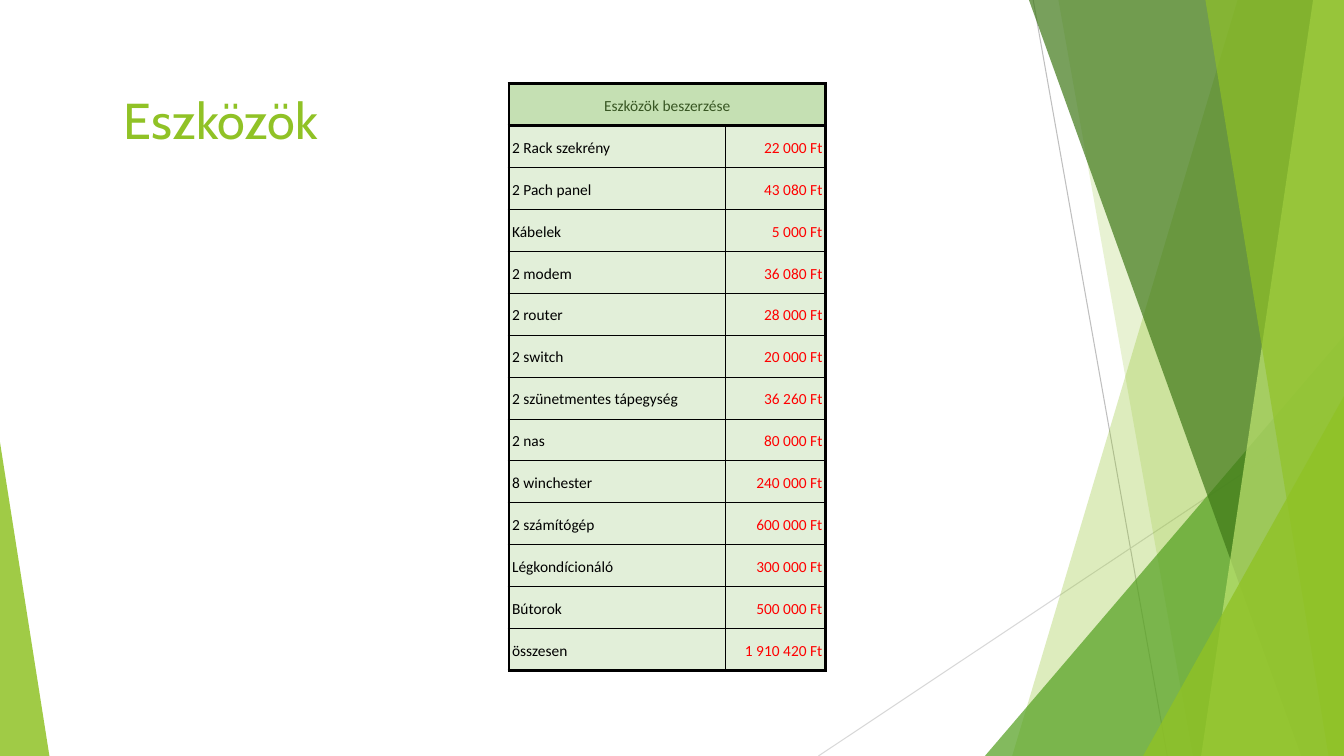
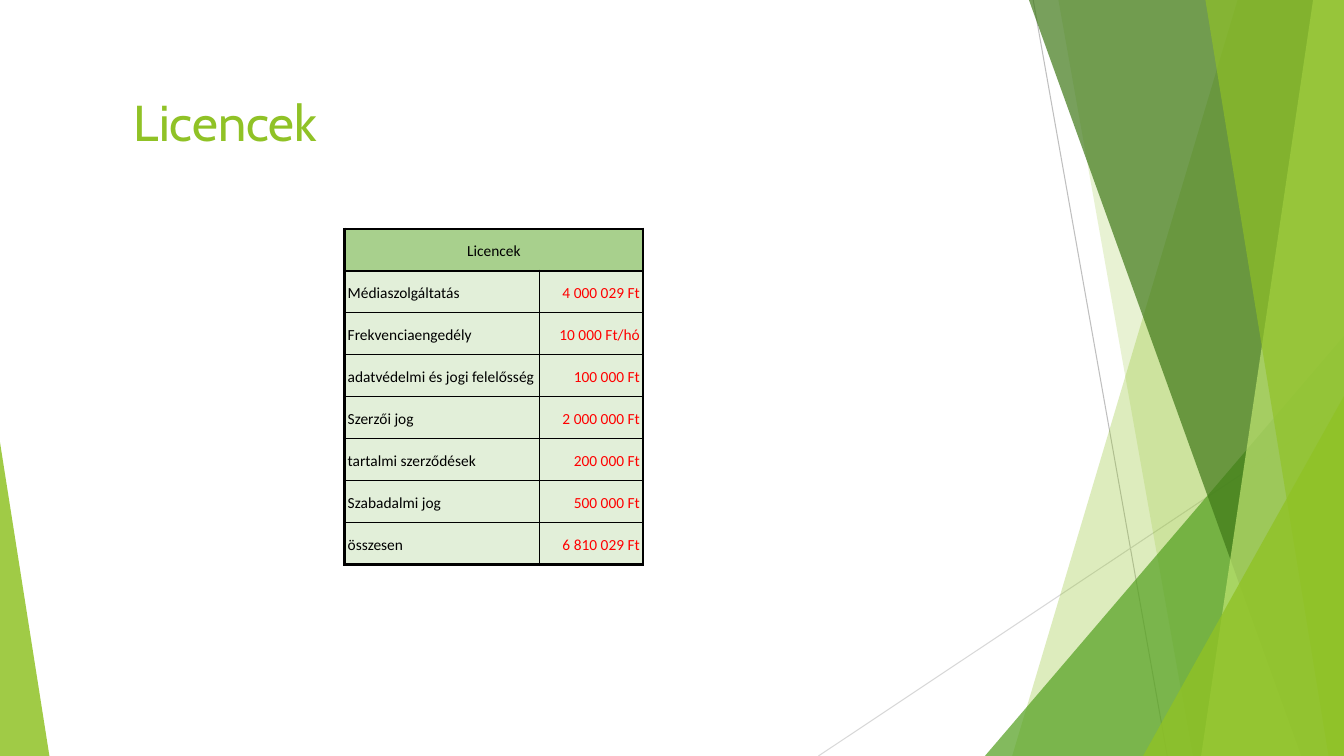
from dataclasses import dataclass

from pptx import Presentation
from pptx.dml.color import RGBColor
from pptx.enum.shapes import MSO_CONNECTOR as Connector, MSO_SHAPE as Preset
from pptx.enum.text import MSO_ANCHOR as Anchor, PP_ALIGN as Align
from pptx.oxml.ns import qn
from pptx.slide import Slide
from pptx.table import _Cell as Cell
from pptx.util import Pt
from lxml.etree import SubElement

PAGE_WIDTH, PAGE_HEIGHT = 960, 540
LIME, LEAF, FOREST, PALE_LIME = "90C226", "54A021", "3F7818", "BFE471"
BLACK, RED, ROW_GREEN = "000000", "FF0000", "E2EFD9"
TITLE_FONT, TABLE_FONT = "Cabin", "Calibri"
ROW_HEIGHT = 29.95
THICK, THIN = 2.25, 0.75


@dataclass(frozen=True)
class Ray:
    start: tuple[float, float]
    end: tuple[float, float]
    color: str


@dataclass(frozen=True)
class Band:
    """A full-height panel from a slanted left edge to the right page edge."""
    top_x: float
    bottom_x: float
    color: str
    opacity: int


@dataclass(frozen=True)
class Corner:
    """A right triangle standing on the bottom page edge."""
    left: float
    top: float
    width: float
    apex: float
    color: str
    opacity: int


@dataclass(frozen=True)
class CostPage:
    title: str
    title_box: tuple[float, float, float, float]
    table_at: tuple[float, float]
    columns: tuple[float, float]
    heading: str
    heading_fill: str
    heading_color: str
    items: list[tuple[str, str]]


RAYS = [
    Ray((738, 0), (833.8, PAGE_HEIGHT), "BFBFBF"),
    Ray((PAGE_WIDTH, 290), (584.6, PAGE_HEIGHT), "D8D8D8"),
]
FACETS: list[Band | Corner] = [
    Band(884, 723, LIME, 30),
    Band(756, 852, LIME, 20),
    Corner(703.5, 240, 256.5, 1, LEAF, 72),
    Band(735, 929.5, FOREST, 70),
    Band(938, 858, PALE_LIME, 70),
    Band(861, 949, LIME, 65),
    Corner(816.5, 283, 143.5, 1, LIME, 80),
    Corner(0, 316, 35.3, 0, LIME, 85),
]
PAGES = [
    CostPage(
        "Eszközök", (81.4, 59.8, 233, 104), (363.6, 59.8), (154.8, 71.3),
        "Eszközök beszerzése", "C5E0B3", "385623",
        [
            ("2 Rack szekrény", "22 000 Ft"),
            ("2 Pach panel", "43 080 Ft"),
            ("Kábelek", "5 000 Ft"),
            ("2 modem", "36 080 Ft"),
            ("2 router", "28 000 Ft"),
            ("2 switch", "20 000 Ft"),
            ("2 szünetmentes tápegység", "36 260 Ft"),
            ("2 nas", "80 000 Ft"),
            ("8 winchester", "240 000 Ft"),
            ("2 számítógép", "600 000 Ft"),
            ("Légkondícionáló", "300 000 Ft"),
            ("Bútorok", "500 000 Ft"),
            ("összesen", "1 910 420 Ft"),
        ],
    ),
    CostPage(
        "Licencek", (88.6, 61.2, 261, 83.5), (246.2, 163.6), (139.2, 74),
        "Licencek", "A8D08D", BLACK,
        [
            ("Médiaszolgáltatás", "4 000 029 Ft"),
            ("Frekvenciaengedély", "10 000 Ft/hó"),
            ("adatvédelmi és jogi felelősség", "100 000 Ft"),
            ("Szerzői jog", "2 000 000 Ft"),
            ("tartalmi szerződések", "200 000 Ft"),
            ("Szabadalmi jog", "500 000 Ft"),
            ("összesen", "6 810 029 Ft"),
        ],
    ),
]


def rgb(color: str) -> RGBColor:
    return RGBColor.from_string(color)


def draw_ray(page: Slide, ray: Ray) -> None:
    line = page.shapes.add_connector(
        Connector.STRAIGHT, *map(Pt, ray.start + ray.end))
    line.line.color.rgb = rgb(ray.color)
    line.line.width = Pt(THIN)
    SubElement(line._element.spPr, qn("a:effectLst"))


def draw_facet(page: Slide, facet: Band | Corner) -> None:
    if isinstance(facet, Band):
        outline = page.shapes.build_freeform(Pt(facet.top_x), 0)
        outline.add_line_segments([
            (Pt(PAGE_WIDTH), 0),
            (Pt(PAGE_WIDTH), Pt(PAGE_HEIGHT)),
            (Pt(facet.bottom_x), Pt(PAGE_HEIGHT)),
        ])
        shape = outline.convert_to_shape()
    else:
        shape = page.shapes.add_shape(
            Preset.ISOSCELES_TRIANGLE, Pt(facet.left), Pt(facet.top),
            Pt(facet.width), Pt(PAGE_HEIGHT - facet.top))
        shape.adjustments[0] = facet.apex
    shape.shadow.inherit = False
    shape.line.fill.background()
    shape.fill.solid()
    shape.fill.fore_color.rgb = rgb(facet.color)
    fill_color = shape._element.spPr.find(qn("a:solidFill"))[0]
    SubElement(fill_color, qn("a:alpha"), val=str(facet.opacity * 1000))


def draw_title(page: Slide, text: str,
               bounds: tuple[float, float, float, float]) -> None:
    frame = page.shapes.add_textbox(*map(Pt, bounds)).text_frame
    frame.word_wrap = True
    para = frame.paragraphs[0]
    para.text = text
    para.font.name, para.font.size = TITLE_FONT, Pt(36)
    para.font.color.rgb = rgb(LIME)


def set_borders(cell: Cell, left: float, right: float,
                top: float, bottom: float) -> None:
    properties = cell._tc.get_or_add_tcPr()
    for side, width in zip("LRTB", (left, right, top, bottom)):
        line = SubElement(properties, qn(f"a:ln{side}"), w=str(Pt(width)))
        fill = SubElement(line, qn("a:solidFill"))
        SubElement(fill, qn("a:srgbClr"), val=BLACK)


def fill_cell(cell: Cell, text: str, color: str, fill: str,
              align: Align) -> None:
    cell.fill.solid()
    cell.fill.fore_color.rgb = rgb(fill)
    cell.vertical_anchor = Anchor.BOTTOM
    cell.margin_left = cell.margin_right = Pt(2.2)
    cell.margin_top = cell.margin_bottom = Pt(7.2)
    para = cell.text_frame.paragraphs[0]
    para.text = text
    para.alignment, para.line_spacing = align, 1.15
    para.font.name, para.font.size = TABLE_FONT, Pt(11)
    para.font.color.rgb = rgb(color)


def draw_table(page: Slide, content: CostPage) -> None:
    row_count = len(content.items) + 1
    table = page.shapes.add_table(
        row_count, 2, *map(Pt, content.table_at),
        Pt(sum(content.columns)), Pt(ROW_HEIGHT * row_count)).table
    table.first_row = table.horz_banding = False
    for column, width in zip(table.columns, content.columns):
        column.width = Pt(width)
    for row in table.rows:
        row.height = Pt(ROW_HEIGHT)

    heading = table.cell(0, 0)
    heading.merge(table.cell(0, 1))
    for cell in table.rows[0].cells:
        set_borders(cell, THICK, THICK, THICK, THICK)
    fill_cell(heading, content.heading, content.heading_color,
              content.heading_fill, Align.CENTER)

    for index, (item, price) in enumerate(content.items, start=1):
        top = THICK if index == 1 else THIN
        bottom = THICK if index == row_count - 1 else THIN
        name_cell, price_cell = table.cell(index, 0), table.cell(index, 1)
        set_borders(name_cell, THICK, THIN, top, bottom)
        set_borders(price_cell, THIN, THICK, top, bottom)
        fill_cell(name_cell, item, BLACK, ROW_GREEN, Align.LEFT)
        fill_cell(price_cell, price, RED, ROW_GREEN, Align.RIGHT)


def main() -> None:
    deck = Presentation()
    deck.slide_width, deck.slide_height = Pt(PAGE_WIDTH), Pt(PAGE_HEIGHT)
    blank = deck.slide_layouts[6]
    for content in PAGES:
        page = deck.slides.add_slide(blank)
        for ray in RAYS:
            draw_ray(page, ray)
        for facet in FACETS:
            draw_facet(page, facet)
        draw_title(page, content.title, content.title_box)
        draw_table(page, content)
    deck.save("out.pptx")


if __name__ == "__main__":
    main()
